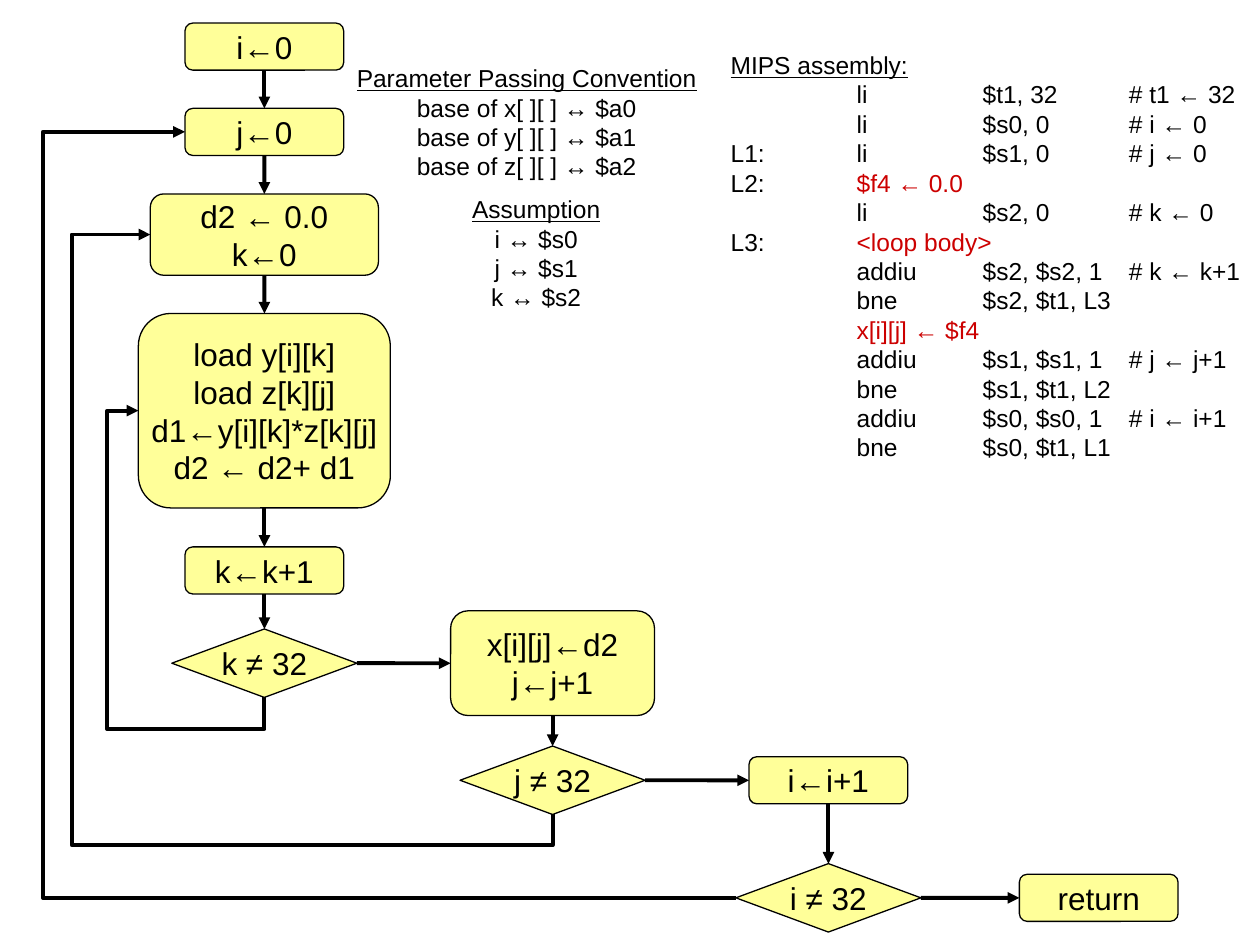
"""Build a slide showing a nested-loop flowchart beside its MIPS assembly."""
from dataclasses import dataclass

from lxml.etree import SubElement
from pptx import Presentation
from pptx.dml.color import RGBColor
from pptx.enum.shapes import MSO_CONNECTOR, MSO_SHAPE
from pptx.enum.text import MSO_ANCHOR, PP_ALIGN
from pptx.oxml.ns import qn
from pptx.util import Cm, Pt

TOP, LEFT, BOTTOM, RIGHT = range(4)


@dataclass(frozen=True)
class Theme:
    """Colours, font and sizes used on the slide."""
    ink: RGBColor = RGBColor(0x00, 0x00, 0x00)
    paper: RGBColor = RGBColor(0xFF, 0xFF, 0xFF)
    node: RGBColor = RGBColor(0xFF, 0xFF, 0x99)
    accent: RGBColor = RGBColor(0xCC, 0x00, 0x00)
    font: str = "Arial"
    node_size: Pt = Pt(18)
    note_size: Pt = Pt(14)
    outline: Pt = Pt(0.75)
    arrow: Pt = Pt(2.25)


THEME = Theme()
STEP = (3.2, 0.95)
TEST = (3.73, 1.38)
COLUMNS = (5.33, 11.14, 16.7, 22.15)
ROWS = (13.37, 15.73, 18.1)
CODE_TABS = (2.54, 5.08, 8.03)

NODES = {
    "start_i": ("i←0", COLUMNS[0], 0.94, STEP),
    "start_j": ("j←0", COLUMNS[0], 2.66, STEP),
    "start_k": ("d2 ← 0.0\nk←0", COLUMNS[0], 4.73, (4.6, 1.64)),
    "body": ("load y[i][k]\nload z[k][j]\nd1←y[i][k]*z[k][j]\nd2 ← d2+ d1",
             COLUMNS[0], 8.28, (5.08, 3.92)),
    "next_k": ("k←k+1", COLUMNS[0], 11.5, STEP),
    "test_k": ("k ≠ 32", COLUMNS[0], ROWS[0], TEST),
    "next_j": ("x[i][j]←d2\nj←j+1", COLUMNS[1], ROWS[0], (4.11, 2.11)),
    "test_j": ("j ≠ 32", COLUMNS[1], ROWS[1], TEST),
    "next_i": ("i←i+1", COLUMNS[2], ROWS[1], STEP),
    "test_i": ("i ≠ 32", COLUMNS[2], ROWS[2], TEST),
    "finish": ("return", COLUMNS[3], ROWS[2], STEP),
}

DOWNWARD = (
    ("start_i", "start_j"), ("start_j", "start_k"), ("start_k", "body"),
    ("body", "next_k"), ("next_k", "test_k"),
    ("next_j", "test_j"), ("next_i", "test_i"),
)
ACROSS = (("test_k", "next_j"), ("test_j", "next_i"), ("test_i", "finish"))

CONVENTION = ("Parameter Passing Convention", "base of x[ ][ ] ↔ $a0",
              "base of y[ ][ ] ↔ $a1", "base of z[ ][ ] ↔ $a2")
ASSUMPTION = ("Assumption", "i ↔ $s0", "j ↔ $s1", "k ↔ $s2")
ASSEMBLY = (
    ("MIPS assembly:",),
    ("\tli\t$t1, 32\t# t1 ← 32",),
    ("\tli\t$s0, 0\t# i ← 0",),
    ("L1:\tli\t$s1, 0\t# j ← 0",),
    ("L2:\t", "$f4 ← 0.0"),
    ("\tli\t$s2, 0\t# k ← 0",),
    ("L3:\t", "<loop body>"),
    ("\taddiu\t$s2, $s2, 1\t# k ← k+1",),
    ("\tbne\t$s2, $t1, L3",),
    ("\t", "x[i][j] ← $f4"),
    ("\taddiu\t$s1, $s1, 1\t# j ← j+1",),
    ("\tbne\t$s1, $t1, L2",),
    ("\taddiu\t$s0, $s0, 1\t# i ← i+1",),
    ("\tbne\t$s0, $t1, L1",),
)


def add_span(para, text, size, color=THEME.ink, underline=None):
    """Add one formatted run to a paragraph."""
    span = para.add_run()
    span.text = text
    span.font.name = THEME.font
    span.font.size = size
    span.font.color.rgb = color
    span.font.underline = underline


def add_para(frame, index, align):
    """Return the paragraph for a line, adding it after the first one."""
    para = frame.add_paragraph() if index else frame.paragraphs[0]
    para.alignment = align
    return para


def add_node(page, text, center_x, center_y, size):
    """Add a flowchart node centred on a point."""
    width, height = size
    kind = MSO_SHAPE.FLOWCHART_DECISION if size == TEST else MSO_SHAPE.ROUNDED_RECTANGLE
    node = page.shapes.add_shape(kind, Cm(center_x - width / 2), Cm(center_y - height / 2),
                                 Cm(width), Cm(height))
    node.shadow.inherit = False
    node.fill.solid()
    node.fill.fore_color.rgb = THEME.node
    node.line.color.rgb = THEME.ink
    node.line.width = THEME.outline
    frame = node.text_frame
    frame.word_wrap = False
    frame.vertical_anchor = MSO_ANCHOR.MIDDLE
    for index, line in enumerate(text.split("\n")):
        add_span(add_para(frame, index, PP_ALIGN.CENTER), line, THEME.node_size)
    return node


def add_text_box(page, left, top, width, height, wrap):
    """Add a vertically centred text box."""
    box = page.shapes.add_textbox(Cm(left), Cm(top), Cm(width), Cm(height))
    box.text_frame.word_wrap = wrap
    box.text_frame.vertical_anchor = MSO_ANCHOR.MIDDLE
    return box


def add_note(page, lines, *place):
    """Add a centred note with an underlined heading."""
    frame = add_text_box(page, *place, wrap=False).text_frame
    for index, line in enumerate(lines):
        add_span(add_para(frame, index, PP_ALIGN.CENTER), line, THEME.note_size,
                 underline=index == 0)


def add_listing(page, lines, *place):
    """Add the assembly listing with its own tab stops."""
    box = add_text_box(page, *place, wrap=True)
    box.fill.solid()
    box.fill.fore_color.rgb = THEME.paper
    for index, spans in enumerate(lines):
        para = add_para(box.text_frame, index, PP_ALIGN.LEFT)
        stops = SubElement(para._p.get_or_add_pPr(), qn("a:tabLst"))
        for position in CODE_TABS:
            SubElement(stops, qn("a:tab"), pos=str(Cm(position)), algn="l")
        for text, color in zip(spans, (THEME.ink, THEME.accent)):
            add_span(para, text, THEME.note_size, color, index == 0)


def add_arrow(page, kind, begin, end):
    """Add a connector with an arrowhead at its end."""
    arrow = page.shapes.add_connector(kind, *map(Cm, begin), *map(Cm, end))
    arrow.line.color.rgb = THEME.ink
    arrow.line.width = THEME.arrow
    SubElement(arrow.line._ln, qn("a:tailEnd"), type="triangle")
    SubElement(arrow._element.spPr, qn("a:effectLst"))
    return arrow


def join(page, source, source_side, target, target_side):
    """Join two nodes with a straight arrow."""
    arrow = add_arrow(page, MSO_CONNECTOR.STRAIGHT, (0, 0), (1, 1))
    arrow.begin_connect(source, source_side)
    arrow.end_connect(target, target_side)


def set_bends(arrow, preset, *ratios):
    """Set the elbow preset and where its bends lie."""
    geometry = arrow._element.spPr.find(qn("a:prstGeom"))
    geometry.set("prst", preset)
    guides = geometry.find(qn("a:avLst"))
    for number, ratio in enumerate(ratios, 1):
        SubElement(guides, qn("a:gd"), name=f"adj{number}", fmla=f"val {round(ratio * 100000)}")


def loop_from_bottom(page, source, target, drop, lane):
    """Lead an arrow below a test, up a lane and into a node's left side."""
    _, start_x, middle, (_, height) = NODES[source]
    _, center, end_y, (width, _) = NODES[target]
    start_y, end_x = middle + height / 2, center - width / 2
    rise, run = start_y - end_y, start_x - end_x
    mid_x, mid_y = (start_x + end_x) / 2, (start_y + end_y) / 2
    arrow = add_arrow(page, MSO_CONNECTOR.ELBOW, (mid_x - rise / 2, mid_y + run / 2),
                      (mid_x + rise / 2, mid_y - run / 2))
    arrow._element.spPr.find(qn("a:xfrm")).set("rot", str(270 * 60000))
    set_bends(arrow, "bentConnector4", -drop / rise, (start_x - lane) / run)


def loop_from_left(page, source, target, lane):
    """Lead an arrow left from a test, up a lane and into a node's left side."""
    begin, end = ((x - width / 2, y) for _, x, y, (width, _) in (NODES[source], NODES[target]))
    arrow = add_arrow(page, MSO_CONNECTOR.ELBOW, begin, end)
    set_bends(arrow, "bentConnector3", (begin[0] - lane) / (begin[0] - end[0]))


def main():
    """Build and save the deck."""
    deck = Presentation()
    deck.slide_width, deck.slide_height = Cm(25.4), Cm(19.05)
    page = deck.slides.add_slide(deck.slide_layouts[6])
    add_note(page, CONVENTION, 6.91, 1.14, 7.42, 2.64)
    add_note(page, ASSUMPTION, 9.25, 3.78, 3.12, 2.64)
    add_listing(page, ASSEMBLY, 14.48, 0.84, 10.92, 8.64)
    nodes = {name: add_node(page, *details) for name, details in NODES.items()}
    for source, target in DOWNWARD:
        join(page, nodes[source], BOTTOM, nodes[target], TOP)
    for source, target in ACROSS:
        join(page, nodes[source], RIGHT, nodes[target], LEFT)
    loop_from_bottom(page, "test_k", "body", 0.64, 2.16)
    loop_from_bottom(page, "test_j", "start_k", 0.62, 1.45)
    loop_from_left(page, "test_i", "start_j", 0.86)
    deck.save("out.pptx")


if __name__ == "__main__":
    main()
